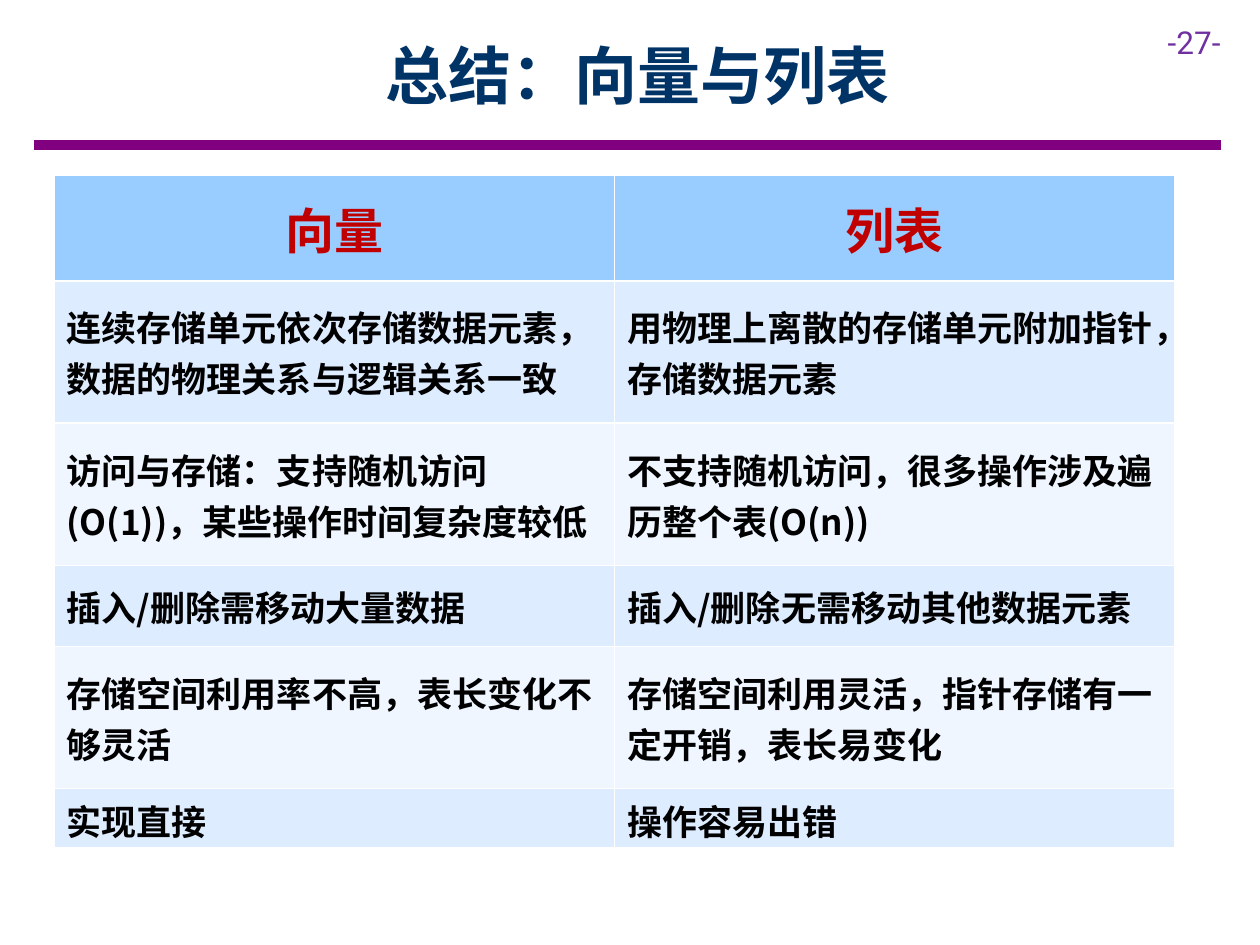
from dataclasses import dataclass

from lxml import etree
from pptx import Presentation
from pptx import util as u
from pptx.dml.color import RGBColor
from pptx.enum import shapes, text
from pptx.oxml.ns import qn

# Content
TITLE = "总结：向量与列表"
PAGE = "-27-"
HEADS = ("向量", "列表")
# Height in cm, then the two cells
ROWS = [
    (2.87, "连续存储单元依次存储数据元素，数据的物理关系与逻辑关系一致",
     "用物理上离散的存储单元附加指针，存储数据元素"),
    (2.87, "访问与存储：支持随机访问(O(1))，某些操作时间复杂度较低",
     "不支持随机访问，很多操作涉及遍历整个表(O(n))"),
    (1.63, "插入/删除需移动大量数据", "插入/删除无需移动其他数据元素"),
    (2.87, "存储空间利用率不高，表长变化不够灵活",
     "存储空间利用灵活，指针存储有一定开销，表长易变化"),
    (1.19, "实现直接", "操作容易出错"),
]
HEAD_H, COL_W = 2.13, 11.3


@dataclass(frozen=True)
class Theme:
    font: str = "Noto Sans CJK SC"
    num_font: str = "Roboto"
    title: str = "003366"
    page: str = "7030A0"
    rule: str = "800080"
    head: str = "C00000"
    body: str = "000000"
    head_fill: str = "99CCFF"
    bands: tuple = ("DEECFF", "EFF6FF")
    title_pt: int = 36
    head_pt: int = 28
    body_pt: int = 20
    page_pt: int = 18
    rule_pt: int = 6


T = Theme()


def write(frame, words, size, color, face=T.font, bold=True, center=False):
    frame.text = words
    frame.word_wrap = True
    para = frame.paragraphs[0]
    para.alignment = text.PP_ALIGN.CENTER if center else text.PP_ALIGN.LEFT
    for run in para.runs:
        font = run.font
        font.size, font.bold, font.name = u.Pt(size), bold, face
        font.color.rgb = RGBColor.from_string(color)
        east = etree.SubElement(font._element, qn("a:ea"))
        east.set("typeface", face)


def box(slide, area):
    return slide.shapes.add_textbox(*(u.Cm(v) for v in area)).text_frame


def paint(cell, fill):
    cell.fill.solid()
    cell.fill.fore_color.rgb = RGBColor.from_string(fill)
    cell.vertical_anchor = text.MSO_ANCHOR.MIDDLE


def main():
    deck = Presentation()
    deck.slide_width, deck.slide_height = u.Cm(25.4), u.Cm(19.05)
    slide = deck.slides.add_slide(deck.slide_layouts[6])

    # Rule under the title
    rule = slide.shapes.add_connector(
        shapes.MSO_CONNECTOR.STRAIGHT,
        u.Cm(0.69), u.Cm(2.92), u.Cm(24.61), u.Cm(2.92))
    rule.line.width = u.Pt(T.rule_pt)
    rule.line.color.rgb = RGBColor.from_string(T.rule)
    etree.SubElement(rule._element.spPr, qn("a:effectLst"))

    # Page number and title
    write(box(slide, (23.29, 0.33, 2.11, 1.02)), PAGE,
          T.page_pt, T.page, T.num_font, bold=False)
    head = box(slide, (2.29, 0.23, 21.11, 2.54))
    write(head, TITLE, T.title_pt, T.title, center=True)
    head.vertical_anchor = text.MSO_ANCHOR.MIDDLE

    # Comparison table; its default style draws the white borders
    highs = [HEAD_H] + [row[0] for row in ROWS]
    grid = slide.shapes.add_table(
        len(highs), len(HEADS), u.Cm(1.09), u.Cm(3.53),
        u.Cm(COL_W * len(HEADS)), u.Cm(sum(highs))).table
    for col in grid.columns:
        col.width = u.Cm(COL_W)
    for row, high in zip(grid.rows, highs):
        row.height = u.Cm(high)

    for c, words in enumerate(HEADS):
        cell = grid.cell(0, c)
        paint(cell, T.head_fill)
        write(cell.text_frame, words, T.head_pt, T.head, center=True)
    for r, (_, *cells) in enumerate(ROWS):
        for c, words in enumerate(cells):
            cell = grid.cell(r + 1, c)
            paint(cell, T.bands[r % 2])
            write(cell.text_frame, words, T.body_pt, T.body)

    deck.save("out.pptx")


if __name__ == "__main__":
    main()
